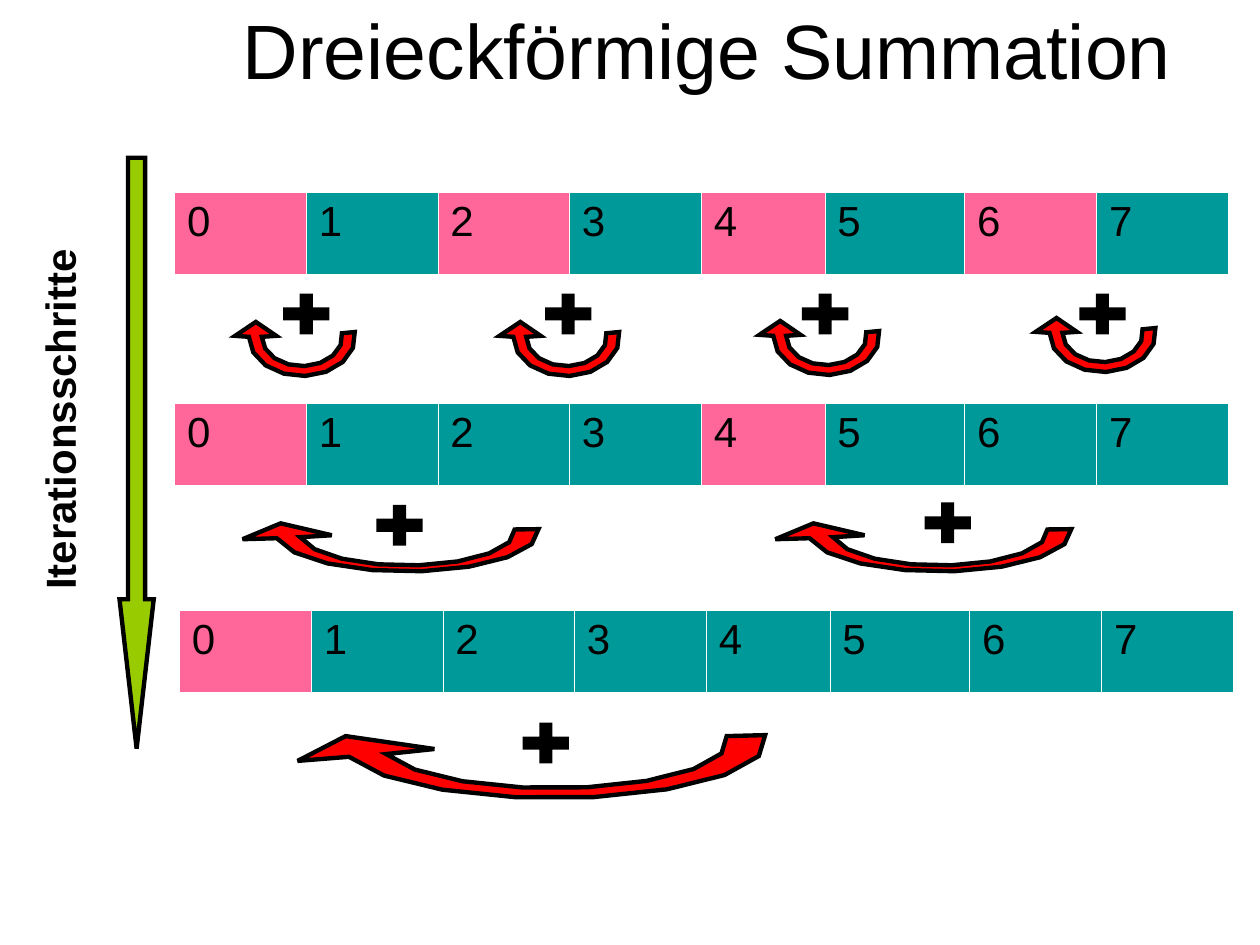
"""Build the slide on triangular summation."""
from dataclasses import dataclass
from math import cos, radians, sin

from lxml import etree
from pptx import Presentation
from pptx import util as u
from pptx.dml.color import RGBColor
from pptx.enum import shapes, text
from pptx.oxml import ns


@dataclass(frozen=True)
class Theme:
    """Colours, font and sizes of the slide."""
    ink: str = "000000"
    paper: str = "FFFFFF"
    active: str = "FF6699"
    passive: str = "009999"
    transfer: str = "FF0000"
    time: str = "99CC00"
    font: str = "Arial"
    title_size: float = 44
    body_size: float = 24
    outline: float = 2.5


@dataclass(frozen=True)
class Hook:
    """Arc radii, arrowhead offsets from the centre and the end angles."""
    outer: tuple
    inner: tuple
    head: tuple
    head_angle: int
    tail_angle: int


THEME = Theme()
COLUMN_WIDTHS = (2.66, 2.65, 2.65, 2.66, 2.49, 2.82, 2.66, 2.65)
ROW_HEIGHT = 1.67
HOOKS = (
    Hook((1.07, 0.79), (0.81, 0.59), ((-1.35, -0.02), (-0.93, -0.3), (-0.52, -0.02)), 180, -7),
    Hook((2.66, 0.81), (2.18, 0.69), ((-3.31, 0.16), (-2.54, -0.16), (-1.51, 0.08)), 170, -3),
    Hook((4.29, 1.15), (3.51, 0.95), ((-5.16, 0.4), (-4.19, -0.1), (-2.4, 0.16)), 164, -6),
)
ARRAY_CORNERS = ((3.52, 3.88), (3.52, 8.13), (3.62, 12.31))
PLUS_CORNERS = (
    ((5.54, 5.77), (10.82, 5.77), (16, 5.77), (21.59, 5.77)),
    ((7.42, 10.03), (18.47, 9.98)),
    ((10.37, 14.42),),
)
HOOK_CENTRES = (
    ((6.09, 6.79), (11.42, 6.79), (16.66, 6.77), (22.23, 6.71)),
    ((8.2, 10.71), (18.94, 10.71)),
    ((11.16, 14.94),),
)


def colour(code):
    """Turn a hex code into a colour."""
    return RGBColor.from_string(code)


def style_text(frame, size, bold=False):
    """Format all runs of a text frame."""
    for paragraph in frame.paragraphs:
        for run in paragraph.runs:
            run.font.name = THEME.font
            run.font.size = u.Pt(size)
            run.font.bold = bold
            run.font.color.rgb = colour(THEME.ink)


def style_shape(shape, fill, outlined=True):
    """Give a shape a plain fill and an optional sharp-cornered outline."""
    shape.shadow.inherit = False
    shape.fill.solid()
    shape.fill.fore_color.rgb = colour(fill)
    if outlined:
        shape.line.color.rgb = colour(THEME.ink)
        shape.line.width = u.Pt(THEME.outline)
        outline = shape.line._get_or_add_ln()
        etree.SubElement(outline, ns.qn("a:miter"), lim="800000")
    else:
        shape.line.fill.background()


def add_label(slide, wording, box, size, bold=False):
    """Add a text box and return its frame."""
    frame = slide.shapes.add_textbox(*map(u.Cm, box)).text_frame
    frame.word_wrap = True
    frame.text = wording
    style_text(frame, size, bold)
    return frame


def add_borders(cell):
    """Draw white borders round a cell, thicker at the bottom."""
    properties = cell._tc.get_or_add_tcPr()
    for position, (side, width) in enumerate(
            (("L", 0.45), ("R", 0.45), ("T", 0.45), ("B", 1.47))):
        border = etree.Element(ns.qn(f"a:ln{side}"), w=str(u.Pt(width)))
        fill = etree.SubElement(border, ns.qn("a:solidFill"))
        etree.SubElement(fill, ns.qn("a:srgbClr"), val=THEME.paper)
        properties.insert(position, border)


def add_array(slide, corner, stride):
    """Add the array as a one-row table, marking every stride-th element."""
    left, top = map(u.Cm, corner)
    array = slide.shapes.add_table(
        1, len(COLUMN_WIDTHS), left, top,
        u.Cm(sum(COLUMN_WIDTHS)), u.Cm(ROW_HEIGHT)).table
    array.first_row = array.horz_banding = False
    for index, width in enumerate(COLUMN_WIDTHS):
        array.columns[index].width = u.Cm(width)
        element = array.cell(0, index)
        element.text_frame.text = str(index)
        element.margin_left = element.margin_right = u.Cm(0.25)
        style_text(element.text_frame, THEME.body_size)
        element.fill.solid()
        element.fill.fore_color.rgb = colour(
            THEME.passive if index % stride else THEME.active)
        add_borders(element)


def add_plus(slide, corner):
    """Add a plus sign."""
    left, top = map(u.Cm, corner)
    plus = slide.shapes.add_shape(
        shapes.MSO_SHAPE.MATH_PLUS, left, top, u.Cm(1.27), u.Cm(1.12))
    style_shape(plus, THEME.ink, outlined=False)


def arc(radii, start, end, steps=8):
    """List points on an ellipse between two angles."""
    angles = (radians(start + (end - start) * i / steps) for i in range(steps + 1))
    return [(radii[0] * cos(angle), radii[1] * sin(angle)) for angle in angles]


def add_hook(slide, centre, hook):
    """Add a curved arrow that leads from right to left."""
    offsets = (arc(hook.inner, hook.head_angle, hook.tail_angle)
               + arc(hook.outer, hook.tail_angle, hook.head_angle)
               + list(hook.head))
    points = [(u.Cm(centre[0] + x), u.Cm(centre[1] + y)) for x, y in offsets]
    builder = slide.shapes.build_freeform(*points[0])
    builder.add_line_segments(points[1:], close=True)
    style_shape(builder.convert_to_shape(), THEME.transfer)


def add_time_arrow(slide):
    """Add the arrow that runs down past the iterations, with its label."""
    arrow = slide.shapes.add_shape(
        shapes.MSO_SHAPE.DOWN_ARROW, *map(u.Cm, (2.41, 3.18, 0.69, 11.91)))
    arrow.adjustments[0] = 0.5
    arrow.adjustments[1] = 4.36
    style_shape(arrow, THEME.time)
    label = add_label(slide, "Iterationsschritte", (0.56, 5, 1.52, 7.14),
                      THEME.body_size, bold=True)
    label.word_wrap = False
    label._txBody.bodyPr.set("vert", "vert270")


def main():
    """Assemble and save the slide."""
    deck = Presentation()
    deck.slide_width, deck.slide_height = u.Cm(25.4), u.Cm(19.05)
    slide = deck.slides.add_slide(deck.slide_layouts[6])
    title = add_label(slide, "Dreieckförmige Summation",
                      (3.81, 0.1, 20.9, 1.93), THEME.title_size)
    title.vertical_anchor = text.MSO_ANCHOR.BOTTOM
    title.paragraphs[0].alignment = text.PP_ALIGN.CENTER
    iterations = zip(ARRAY_CORNERS, PLUS_CORNERS, HOOK_CENTRES, HOOKS)
    for step, (array_corner, plus_corners, centres, hook) in enumerate(iterations, 1):
        add_array(slide, array_corner, 2 ** step)
        for corner in plus_corners:
            add_plus(slide, corner)
        for centre in centres:
            add_hook(slide, centre, hook)
    add_time_arrow(slide)
    deck.save("out.pptx")


if __name__ == "__main__":
    main()
